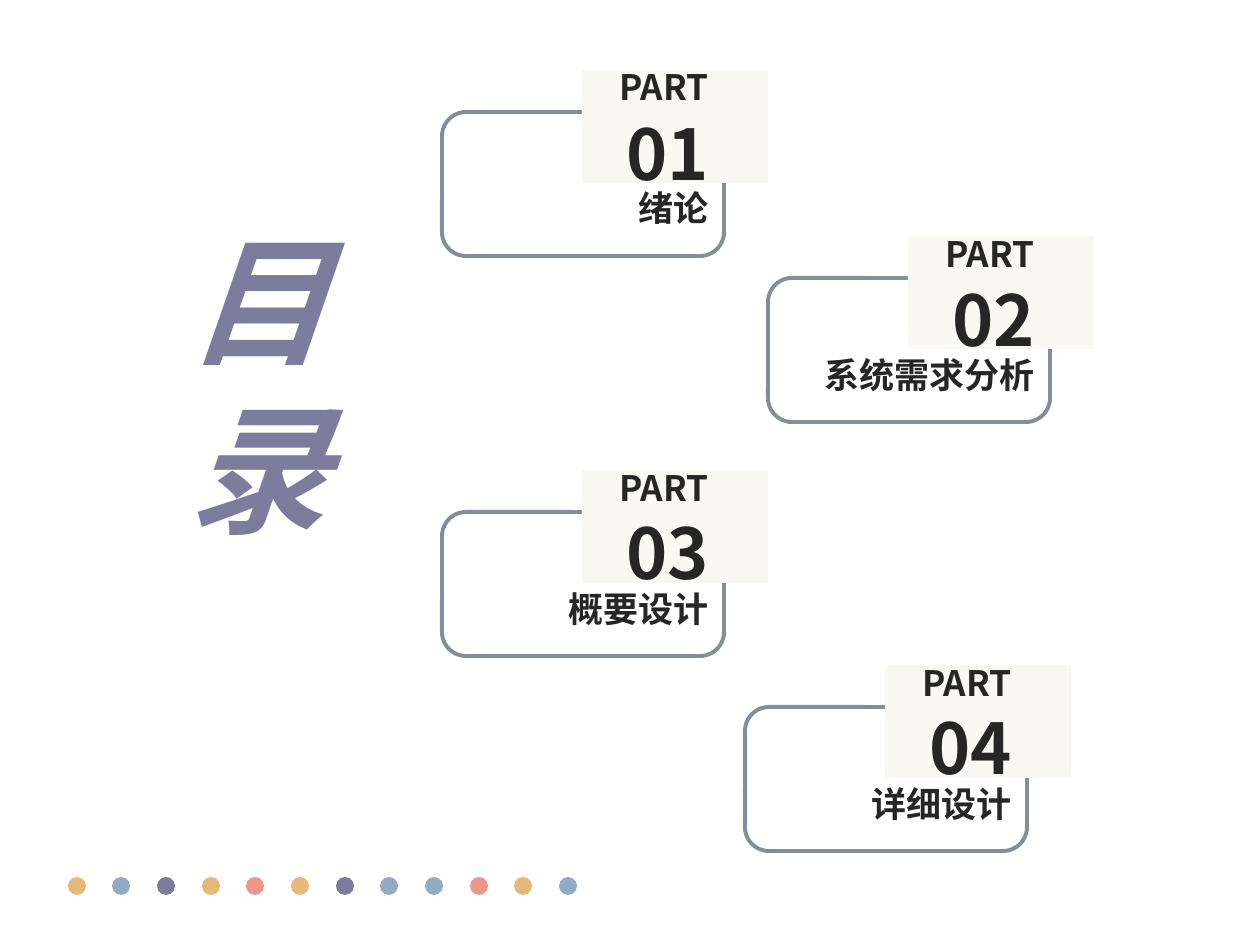
from dataclasses import dataclass

from pptx import Presentation
from pptx.dml.color import RGBColor
from pptx.enum.shapes import MSO_SHAPE
from pptx.enum.text import MSO_ANCHOR, PP_ALIGN
from pptx.util import Pt

SCALE = 914400 / 126


def emu(px):
    return round(px * SCALE)


@dataclass(frozen=True)
class Theme:
    font: str = "Noto Sans CJK SC"
    ink: str = "262626"
    edge: str = "848E97"
    patch: str = "FAF8F4"
    gold: str = "E5B979"
    blue: str = "92ACC3"
    plum: str = "7D7C9C"
    rose: str = "ED968A"
    small: int = 20
    large: int = 40
    title: int = 80


def write(frame, text, theme, size, color, align, italic=False):
    frame.word_wrap = True
    frame.vertical_anchor = MSO_ANCHOR.TOP
    frame.margin_top = emu(6 + size // 8)
    frame.margin_bottom = 0
    line = frame.paragraphs[0]
    line.alignment = align
    line.line_spacing = Pt(size * 1.2)
    run = line.add_run()
    run.text = text
    font = run.font
    font.name = theme.font
    font.size = Pt(size)
    font.bold = True
    font.italic = italic
    font.color.rgb = RGBColor.from_string(color)
    props = run._r.get_or_add_rPr()
    east = props.makeelement(
        "{http://schemas.openxmlformats.org/drawingml/2006/main}ea",
        {"typeface": theme.font},
    )
    props.find("{*}latin").addnext(east)


class Board:
    def __init__(self, slide, theme):
        self.slide = slide
        self.theme = theme
        self.home = slide.shapes

    def group(self):
        self.home = self.slide.shapes.add_group_shape().shapes

    def leave(self):
        self.home = self.slide.shapes

    def shape(self, kind, box, fill=None, line=None):
        item = self.home.add_shape(kind, *map(emu, box))
        item.shadow.inherit = False
        if fill:
            item.fill.solid()
            item.fill.fore_color.rgb = RGBColor.from_string(fill)
        else:
            item.fill.background()
        if line:
            item.line.color.rgb = RGBColor.from_string(line)
            item.line.width = Pt(2.25)
        else:
            item.line.fill.background()

    def text(self, text, box, size, color=None, align=PP_ALIGN.RIGHT, italic=False):
        item = self.home.add_textbox(*map(emu, box))
        write(item.text_frame, text, self.theme, size=size,
              color=color or self.theme.ink, align=align, italic=italic)

    def dots(self, colors):
        self.group()
        for i, color in enumerate(colors):
            self.shape(MSO_SHAPE.OVAL, (68 + i * 134 // 3, 877, 18, 18), fill=color)
        self.leave()

    def card(self, left, top, number, label):
        look = self.theme
        self.group()
        self.shape(MSO_SHAPE.ROUNDED_RECTANGLE, (left, top, 282, 144), line=look.edge)
        self.shape(MSO_SHAPE.RECTANGLE, (left + 140, top - 42, 186, 113), fill=look.patch)
        self.text("PART", (left + 73, top - 54, 206, 55), look.small)
        self.text(number, (left + 165, top - 13, 114, 97), look.large)
        self.text(label, (left, top + 67, 279, 55), look.small)
        self.leave()


def main():
    deck = Presentation()
    deck.slide_width, deck.slide_height = emu(1260), emu(945)
    look = Theme()
    board = Board(deck.slides.add_slide(deck.slide_layouts[6]), look)
    gold, blue, plum, rose = look.gold, look.blue, look.plum, look.rose
    board.dots([gold, blue, plum, gold, rose, gold,
                plum, blue, blue, rose, gold, blue])
    board.text("目录", (175, 198, 179, 352), look.title, color=plum,
               align=PP_ALIGN.JUSTIFY, italic=True)
    cards = [
        (442, 112, "绪论"),
        (768, 278, "系统需求分析"),
        (442, 512, "概要设计"),
        (745, 707, "详细设计"),
    ]
    for i, (left, top, label) in enumerate(cards, 1):
        board.card(left, top, f"{i:02}", label)
    deck.save("out.pptx")


if __name__ == "__main__":
    main()
